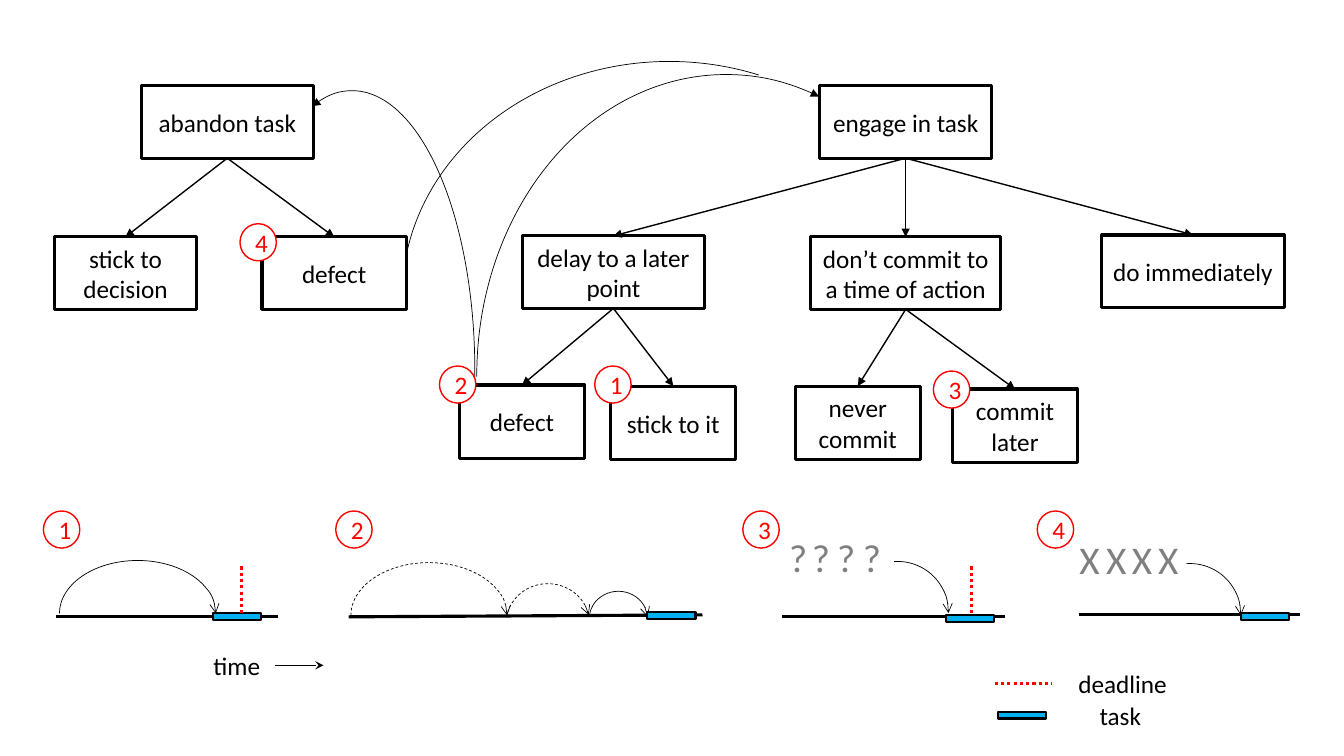
from lxml import etree
from pptx import Presentation
from pptx.dml.color import RGBColor
from pptx.enum.dml import MSO_LINE_DASH_STYLE as DASH
from pptx.enum.shapes import MSO_CONNECTOR, MSO_SHAPE as SHAPE
from pptx.enum.text import MSO_ANCHOR, PP_ALIGN
from pptx.oxml.ns import qn
from pptx.util import Pt

COLORS = {"ink": "000000", "paper": "FFFFFF", "alert": "FF0000", "task": "00B0F0", "mark": "808080"}
FONT = "Calibri"
BADGE = (26, 26.5)
TASK = (34.6, 5)
BOX_HEIGHT = 51.8
LOW_BOX = (89.3, 52.6)

# Each node: text, parent index, left and top from the root, width, height, badge (number, dx, dy)
ABANDON_TREE = [
    ("abandon task", None, 0, 0, 123.1, BOX_HEIGHT, None),
    ("stick to decision", 0, -61.9, 108, 101.5, BOX_HEIGHT, None),
    ("defect", 0, 86.4, 108, 103, BOX_HEIGHT, ("4", -15.8, -9.4)),
]
ENGAGE_TREE = [
    ("engage in task", None, 0, 0, 123.1, BOX_HEIGHT, None),
    ("delay to a later point", 0, -212.4, 107.3, 130.3, BOX_HEIGHT, None),
    ("don’t commit to a time of action", 0, -6.5, 108, 136.1, BOX_HEIGHT, None),
    ("do immediately", 0, 201.6, 106.6, 130.3, BOX_HEIGHT, None),
    ("defect", 1, -257.1, 213.8, *LOW_BOX, ("2", -14.4, -13.6)),
    ("stick to it", 1, -149.1, 214.6, *LOW_BOX, ("1", -11.5, -14.4)),
    ("never commit", 2, -17.3, 214.6, *LOW_BOX, None),
    ("commit later", 2, 95, 216.7, *LOW_BOX, ("3", -13.7, -12.9)),
]


def rgb(name):
    return RGBColor.from_string(COLORS[name])


def style_line(line, color, width, dash=None, head=None, tail=None):
    line.color.rgb = rgb(color)
    line.width = Pt(width)
    if dash:
        line.dash_style = dash
    for tag, end in (("a:headEnd", head), ("a:tailEnd", tail)):
        if end:
            etree.SubElement(line._get_or_add_ln(), qn(tag), type=end)


def write(shape, text, color="ink", size=18, align=PP_ALIGN.CENTER):
    frame = shape.text_frame
    frame.word_wrap = True
    frame.text = text
    paragraph = frame.paragraphs[0]
    paragraph.alignment = align
    font = paragraph.runs[0].font
    font.name, font.size, font.color.rgb = FONT, Pt(size), rgb(color)


def add_label(slide, left, top, width, height, text, **style):
    box = slide.shapes.add_textbox(Pt(left), Pt(top), Pt(width), Pt(height))
    write(box, text, **style)


def add_line(slide, start, end, color="ink", width=2.25, **ends):
    connector = slide.shapes.add_connector(
        MSO_CONNECTOR.STRAIGHT, *[Pt(value) for value in (*start, *end)])
    style_line(connector.line, color, width, **ends)
    etree.SubElement(connector._element.spPr, qn("a:effectLst"))


def add_figure(slide, kind, left, top, width, height, fill="paper", line="ink", weight=2.25):
    shape = slide.shapes.add_shape(kind, Pt(left), Pt(top), Pt(width), Pt(height))
    shape.shadow.inherit = False
    shape.fill.solid()
    shape.fill.fore_color.rgb = rgb(fill)
    style_line(shape.line, line, weight)
    return shape


def add_arc(slide, box, degrees, rotation=0, flip=False, **line):
    arc = slide.shapes.add_shape(SHAPE.ARC, *[Pt(value) for value in box])
    arc.shadow.inherit = False
    arc.fill.background()
    for index, angle in enumerate(degrees):
        arc.adjustments[index] = angle * 0.6  # 60000 units per degree, scaled by 100000
    arc.rotation = rotation
    if flip:
        arc._element.spPr.find(qn("a:xfrm")).set("flipH", "1")
    style_line(arc.line, "ink", 0.5, **line)


def add_badge(slide, left, top, number):
    badge = add_figure(slide, SHAPE.OVAL, left, top, *BADGE, line="alert", weight=1)
    badge.text_frame.vertical_anchor = MSO_ANCHOR.MIDDLE
    write(badge, number, "alert")


def add_task(slide, left, top):
    add_figure(slide, SHAPE.RECTANGLE, left, top, *TASK, fill="task", weight=1.5)


def draw_tree(slide, left, top, nodes):
    for text, parent, x, y, width, height, badge in nodes:
        box = add_figure(slide, SHAPE.RECTANGLE, left + x, top + y, width, height)
        box.text_frame.vertical_anchor = MSO_ANCHOR.MIDDLE
        write(box, text)
        if parent is not None:
            _, _, px, py, parent_width, parent_height, _ = nodes[parent]
            add_line(slide, (left + px + parent_width / 2, top + py + parent_height),
                     (left + x + width / 2, top + y), width=1, tail="triangle")
    for *_, x, y, _, _, badge in nodes:
        if badge:
            number, dx, dy = badge
            add_badge(slide, left + x + dx, top + y + dy, number)


def draw_switches(slide, left, top):
    """Curves that lead from a defect box to the other tree."""
    add_arc(slide, (left + 176.4, top + 9.4, 355.7, 429.8), (251.5, 0.27), flip=True, head="triangle")
    add_arc(slide, (left, top + 20.9, 175, 399.6), (261.32, 2.99), head="triangle")
    add_arc(slide, (left + 123.1, top, 381.6, 335.5), (248, 350.71), flip=True)


def draw_timeline(slide, left, top, number, axis, task, arcs, deadline=None, marks=None):
    """Axis is (start, end, start y, end y); marks are (symbol, top, centers)."""
    add_badge(slide, left, top, number)
    start, end, start_y, end_y = axis
    add_line(slide, (left + start, top + start_y), (left + end, top + end_y))
    for (x, y, width, height), degrees, dash in arcs:
        add_arc(slide, (left + x, top + y, width, height), degrees,
                rotation=270, dash=dash, tail="arrow")
    add_task(slide, left + task[0], top + task[1])
    if deadline:
        add_line(slide, (left + deadline, top + 39.6), (left + deadline, top + 73.9),
                 "alert", dash=DASH.ROUND_DOT)
    if marks:
        symbol, mark_top, centers = marks
        for center in centers:
            add_label(slide, left + center - 17, top + mark_top, 34, 41, symbol,
                      color="mark", size=28)


def draw_timelines(slide, left, top):
    half, quarter = (270, 89.94), (356.04, 90.82)
    draw_timeline(slide, left, top, "1", (9.3, 167.7, 75.6, 75.6), (120.9, 72.8),
                  [((29.5, 17.3, 75.6, 111.6), half, None)], deadline=141.8)
    draw_timeline(slide, left + 208.8, top, "2", (9.3, 262, 75.6, 74.2), (222.4, 72),
                  [((28.8, 18.8, 75.6, 111.6), half, DASH.DASH),
                   ((123.1, 50.4, 56.9, 59.8), (279.03, 77.87), DASH.DASH),
                   ((182.1, 56.2, 39.6, 41.8), (277.6, 85.41), None)])
    draw_timeline(slide, left + 499.6, top, "3", (28.1, 187.2, 75.6, 75.6), (144.8, 74.2),
                  [((74.2, 36, 72.7, 72.7), quarter, None)], deadline=163.5,
                  marks=("?", 12.5, (39.6, 55.8, 73.8, 92.2)))
    draw_timeline(slide, left + 709.9, top, "4", (29.5, 187.9, 74.2, 74.2), (145.4, 72.8),
                  [((72.7, 37.5, 72.7, 72.7), quarter, None)],
                  marks=("X", 13.5, (37.4, 56.5, 74.9, 93.6)))


def draw_time_direction(slide, left, top):
    add_label(slide, left, top, 51.1, 28.8, "time", align=PP_ALIGN.LEFT)
    add_line(slide, (left + 51.1, top + 14.4), (left + 85.7, top + 14.4), width=0.5, tail="stealth")


def draw_legend(slide, left, top):
    add_line(slide, (left, top + 14.4), (left + 41, top + 14.4), "alert", dash=DASH.ROUND_DOT)
    add_label(slide, left + 52.6, top, 97.9, 28.8, "deadline", align=PP_ALIGN.LEFT)
    add_task(slide, left + 2.2, top + 34.5)
    add_label(slide, left + 67.7, top + 23, 110.9, 28.8, "task", align=PP_ALIGN.LEFT)


def main():
    presentation = Presentation()
    presentation.slide_width, presentation.slide_height = Pt(960), Pt(540)
    slide = presentation.slides.add_slide(presentation.slide_layouts[6])
    draw_switches(slide, 164.2, 43.9)
    draw_tree(slide, 100.8, 61.2, ABANDON_TREE)
    draw_tree(slide, 585.4, 61.2, ENGAGE_TREE)
    draw_timelines(slide, 31, 365)
    draw_time_direction(slide, 145.4, 460.8)
    draw_legend(slide, 710.6, 473.8)
    presentation.save("out.pptx")


if __name__ == "__main__":
    main()
